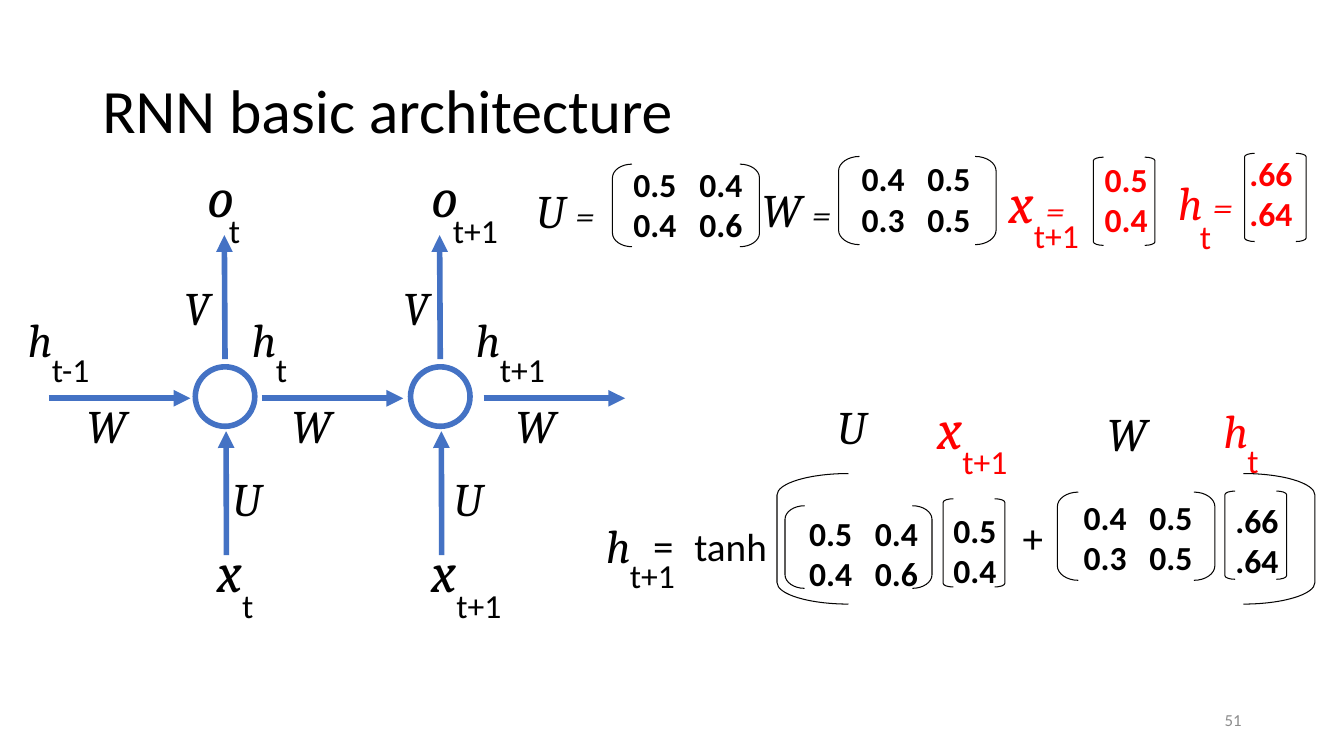
from lxml.etree import SubElement
from pptx import Presentation
from pptx.dml.color import RGBColor
from pptx.enum.shapes import MSO_CONNECTOR as Connector, MSO_SHAPE as Preset
from pptx.enum.text import MSO_ANCHOR as Anchor, MSO_AUTO_SIZE as AutoSize, PP_ALIGN as Align
from pptx.oxml.ns import qn
from pptx.util import Pt

BLACK = RGBColor(0x00, 0x00, 0x00)
RED = RGBColor(0xFF, 0x00, 0x00)
BLUE = RGBColor(0x44, 0x72, 0xC4)
GREY = RGBColor(0x8C, 0x8C, 0x8C)
INK = RGBColor(0x05, 0x04, 0x03)

BODY, MATHS = "Calibri", "Cambria"
LETTER_WIDTH = {"V": 30, "U": 34, "W": 37.5, "h": 26.5, "o": 30, "x": 27.5}
SUBSCRIPT_WIDTH = {"t": 18, "t+1": 42.5, "t-1": 37.5}
# Size of the letter, then offset of its subscript
SYMBOL_STYLE = {"h": (33.3, 17, 27), "o": (40, 15.5, 34), "x": (40, 18, 34)}
COLUMN_GAP = 47  # distance between matrix columns
ROUNDNESS = 0.55  # control point ratio of a quarter ellipse


def add_box(slide, left, top, width, height, inset_x=5, inset_y=3.6, wrap=False):
    box = slide.shapes.add_textbox(Pt(left), Pt(top), Pt(width), Pt(height))
    frame = box.text_frame
    frame.word_wrap = wrap
    frame.margin_left = frame.margin_right = Pt(inset_x)
    frame.margin_top = frame.margin_bottom = Pt(inset_y)
    return frame


def add_run(paragraph, text, size, colour=BLACK, font=BODY, bold=False, italic=False):
    run = paragraph.add_run()
    run.text = text
    run.font.size = Pt(size)
    run.font.name = font
    run.font.bold = bold
    run.font.italic = italic
    run.font.color.rgb = colour


def add_placed_text(slide, text, bounds, size, colour, align):
    frame = add_box(slide, *bounds, inset_x=7.2, wrap=True)
    frame.vertical_anchor = Anchor.MIDDLE
    paragraph = frame.paragraphs[0]
    paragraph.alignment = align
    paragraph.line_spacing = 0.9
    add_run(paragraph, text, size, colour)


def add_operator(slide, text, left, top, width, size=29.3):
    frame = add_box(slide, left, top, width, 42)
    frame.auto_size = AutoSize.SHAPE_TO_FIT_TEXT
    add_run(frame.paragraphs[0], text, size)


def add_letter(slide, letter, left, top, size=33.3, colour=BLACK, inset_y=3.6, equals=None):
    """Italic letter, followed by an equals sign when its size is given."""
    width = LETTER_WIDTH[letter] + (26.5 if equals else 0)
    frame = add_box(slide, left, top, width, size * 1.17 + 2 * inset_y, inset_y=inset_y)
    frame.auto_size = AutoSize.SHAPE_TO_FIT_TEXT
    paragraph = frame.paragraphs[0]
    add_run(paragraph, letter + (" " if equals else ""), size, colour, MATHS, italic=True)
    if equals:
        add_run(paragraph, "=", equals, colour, MATHS, italic=True)


def add_symbol(slide, letter, subscript, left, top, colour=BLACK, equals=None, offset=None):
    """Letter with its subscript in a box of its own."""
    size, *usual_offset = SYMBOL_STYLE[letter]
    shift_x, shift_y = offset or usual_offset
    add_letter(slide, letter, left, top, size, colour, 5, equals)
    frame = add_box(slide, left + shift_x, top + shift_y,
                    SUBSCRIPT_WIDTH[subscript], 39, inset_y=5)
    frame.auto_size = AutoSize.SHAPE_TO_FIT_TEXT
    add_run(frame.paragraphs[0], subscript, 24, colour)


def add_arrow(slide, x1, y1, x2, y2):
    arrow = slide.shapes.add_connector(Connector.STRAIGHT, Pt(x1), Pt(y1), Pt(x2), Pt(y2))
    arrow.line.color.rgb = BLUE
    arrow.line.width = Pt(4)
    SubElement(arrow.line._get_or_add_ln(), qn("a:tailEnd"), type="triangle")
    SubElement(arrow._element.spPr, qn("a:effectLst"))


def add_node(slide, centre_x, centre_y, diameter=42.5):
    node = slide.shapes.add_shape(Preset.OVAL, Pt(centre_x - diameter / 2),
                                  Pt(centre_y - diameter / 2), Pt(diameter), Pt(diameter))
    node.shadow.inherit = False
    node.fill.background()
    node.line.color.rgb = BLUE
    node.line.width = Pt(4)


def round_corner(start, segment, starts_level):
    """Turn a straight segment into a quarter ellipse."""
    (x1, y1), (x2, y2) = [(int(point.get("x")), int(point.get("y")))
                          for point in (start[0], segment[0])]
    near_x, near_y = x1 + ROUNDNESS * (x2 - x1), y1 + ROUNDNESS * (y2 - y1)
    far_x, far_y = x2 - ROUNDNESS * (x2 - x1), y2 - ROUNDNESS * (y2 - y1)
    controls = ((near_x, y1), (x2, far_y)) if starts_level else ((x1, near_y), (far_x, y2))
    segment.tag = qn("a:cubicBezTo")
    for x, y in reversed(controls):
        control = SubElement(segment, qn("a:pt"), x=str(round(x)), y=str(round(y)))
        segment.insert(0, control)


def add_brackets(slide, left, top, width, height, corner_x=0.133, corner_y=0.165):
    """Pair of round brackets; corners are fractions of width and height."""
    radius_x, radius_y = width * corner_x, height * corner_y
    bottom = top + height

    def outline(edge, inner):
        corners = ((inner, bottom), (edge, bottom - radius_y), (edge, top + radius_y), (inner, top))
        return [(Pt(x), Pt(y)) for x, y in corners]

    left_points = outline(left, left + radius_x)
    right_points = outline(left + width, left + width - radius_x)[::-1]
    builder = slide.shapes.build_freeform(*left_points[0])
    builder.add_line_segments(left_points[1:], close=False)
    builder.move_to(*right_points[0])
    builder.add_line_segments(right_points[1:], close=False)
    brackets = builder.convert_to_shape()
    # Each side is a move, a corner, a straight edge and a corner
    outline_parts = list(next(brackets._element.iter(qn("a:path"))))
    for first in (0, 4):
        move, corner, edge, last_corner = outline_parts[first:first + 4]
        round_corner(edge, last_corner, False)
        round_corner(move, corner, True)
    brackets.shadow.inherit = False
    brackets.fill.background()
    brackets.line.color.rgb = INK
    brackets.line.width = Pt(0.75)


def add_matrix(slide, rows, brackets, text_left, text_top, text_width, colour=BLACK):
    is_vector = len(rows[0]) == 1
    corners = (0.165, 0.04) if is_vector else (0.133, 0.165)
    add_brackets(slide, *brackets, *corners)
    frame = add_box(slide, text_left, text_top, text_width, 65.5, wrap=True)
    frame.auto_size = AutoSize.SHAPE_TO_FIT_TEXT
    for index, row in enumerate(rows):
        paragraph = frame.add_paragraph() if index else frame.paragraphs[0]
        if not is_vector:
            tabs = SubElement(paragraph._p.get_or_add_pPr(), qn("a:tabLst"))
            SubElement(tabs, qn("a:tab"), pos=str(Pt(COLUMN_GAP)), algn="l")
        add_run(paragraph, "\t".join(row), 24, colour, bold=True)


def add_network(slide):
    # Nodes with their output, input and weights
    for centre, step, v_left, u_left, o_left, x_left in (
            (160.75, "t", 126.5, 161, 143, 150), (314.5, "t+1", 283, 319, 303, 303)):
        add_node(slide, centre, 283.25)
        add_arrow(slide, centre, 256.5, centre - 0.5, 168)
        add_arrow(slide, centre + 1, 396.5, centre + 0.75, 308)
        add_letter(slide, "V", v_left, 196)
        add_letter(slide, "U", u_left, 332)
        add_symbol(slide, "o", step, o_left, 110.75)
        add_symbol(slide, "x", step, x_left, 378.5)
    # Hidden states passed along
    for start, step, h_left, w_left in (
            (35, "t-1", 15, 57), (187, "t", 175, 203.5), (345.5, "t+1", 335, 363.5)):
        add_arrow(slide, start, 284.5, start + 101, 284.5)
        add_symbol(slide, "h", step, h_left, 217.25)
        add_letter(slide, "W", w_left, 280)


def add_values(slide):
    u_rows = (("0.5", "0.4"), ("0.4", "0.6"))
    w_rows = (("0.4", "0.5"), ("0.3", "0.5"))
    x_rows = (("0.5",), ("0.4",))
    h_rows = ((".66",), (".64",))

    # Given values
    add_letter(slide, "U", 378, 126.5, equals=25.3)
    add_matrix(slide, u_rows, (437.5, 117.25, 105, 59), 447.5, 113.5, 93)
    add_letter(slide, "W", 539.5, 126, equals=25.3)
    add_matrix(slide, w_rows, (599, 111.75, 112.5, 63), 610.5, 109.5, 110)
    add_symbol(slide, "x", "t+1", 715.5, 114.5, RED, equals=25.3)
    add_matrix(slide, x_rows, (781, 112.25, 44, 63), 784, 110, 58, RED)
    add_symbol(slide, "h", "t", 836.5, 119.5, RED, equals=26.7, offset=(15.5, 29.5))
    add_matrix(slide, h_rows, (889, 109.5, 44, 63), 887.5, 105.75, 56, RED)

    # Names above the formula
    add_letter(slide, "U", 593, 281)
    add_symbol(slide, "x", "t+1", 664.5, 276.25, RED)
    add_letter(slide, "W", 786, 286)
    add_symbol(slide, "h", "t", 869, 282.25, RED)

    # Formula for the next hidden state
    add_symbol(slide, "h", "t+1", 428, 364.25)
    add_operator(slide, "=", 461.5, 368, 24.5)
    add_operator(slide, "tanh", 491, 369.5, 62, 28)
    add_brackets(slide, 555, 338.25, 384.25, 93.25)
    add_matrix(slide, u_rows, (560.75, 361.25, 105, 59), 573, 362.5, 93)
    add_matrix(slide, x_rows, (673.75, 356.25, 44, 63), 676, 360.75, 53)
    add_operator(slide, "+", 725.5, 362.25, 24.5)
    add_matrix(slide, w_rows, (755.25, 351.5, 112.5, 63), 769, 351.5, 104.5)
    add_matrix(slide, h_rows, (875, 350.75, 44, 63), 877.5, 353.5, 59)


def main():
    presentation = Presentation()
    presentation.slide_width, presentation.slide_height = Pt(960), Pt(540)
    slide = presentation.slides.add_slide(presentation.slide_layouts[6])
    add_placed_text(slide, "RNN basic architecture", (66, 29, 828, 104.5), 44, BLACK, Align.LEFT)
    add_placed_text(slide, "51", (678, 500.5, 216, 29), 12, GREY, Align.RIGHT)
    add_network(slide)
    add_values(slide)
    presentation.save("out.pptx")


if __name__ == "__main__":
    main()
